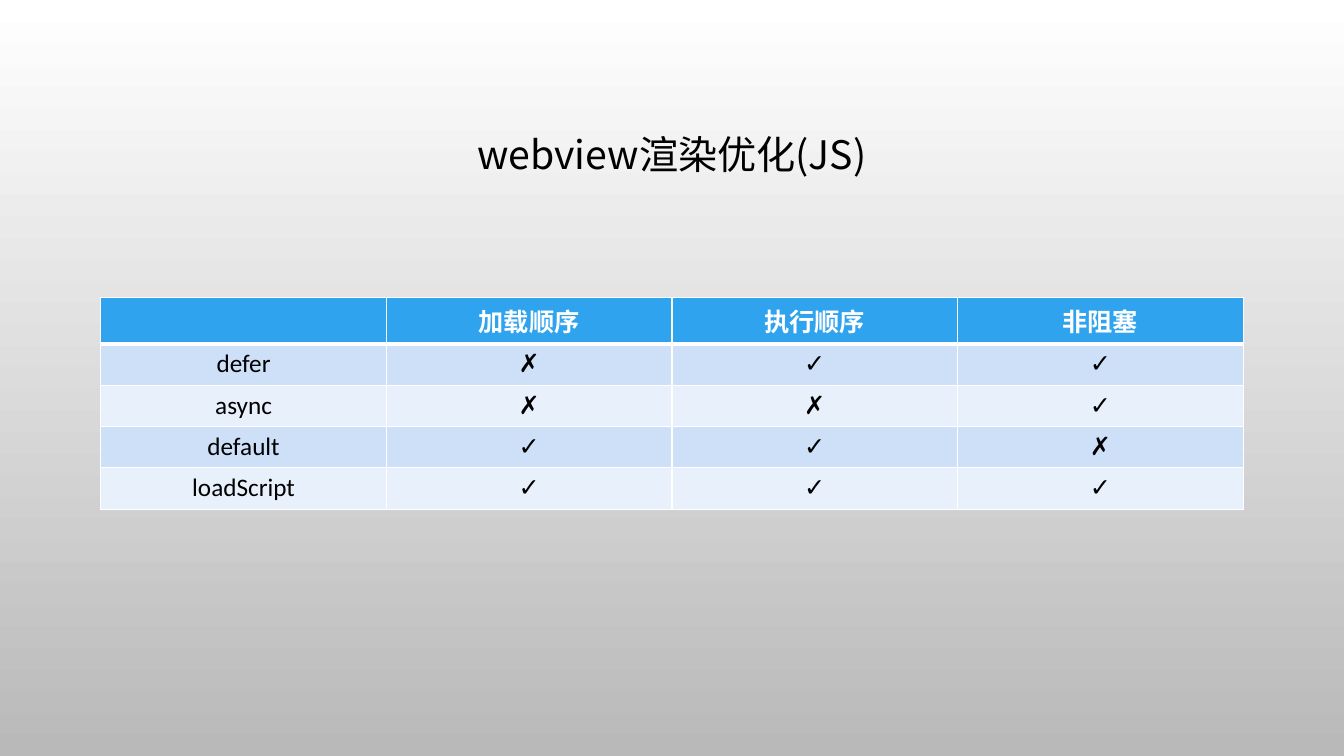
from pptx import Presentation
from pptx.dml.color import RGBColor
from pptx.enum.text import MSO_ANCHOR, PP_ALIGN
from pptx.oxml.ns import qn
from pptx.util import Inches, Pt
from lxml.etree import SubElement

CJK_FONT = "Noto Sans CJK SC"
ROWS = [
    ["", "加载顺序", "执行顺序", "非阻塞"],
    ["defer", "✗", "✓", "✓"],
    ["async", "✗", "✗", "✓"],
    ["default", "✓", "✓", "✗"],
    ["loadScript", "✓", "✓", "✓"],
]


def color(value):
    """Turn a hex string into a colour."""
    return RGBColor.from_string(value)


class SlideBuilder:
    """Hold the table style and the slide, and add elements to it."""

    header_fill = "2FA3EE"
    band_fills = ["CDE0F8", "E8F0FC"]
    white = "FFFFFF"
    black = "000000"

    def __init__(self, slide):
        """Keep the slide to draw on."""
        self.slide = slide

    def background(self, top, bottom):
        """Fill the background with a gradient running downwards."""
        fill = self.slide.background.fill
        fill.gradient()
        fill.gradient_angle = 270
        for stop, position, value in zip(fill.gradient_stops, (0, 1), (top, bottom)):
            stop.position = position
            stop.color.rgb = color(value)

    def format_text(self, paragraph, font_name, size, value, bold=False):
        """Centre a paragraph and format its runs."""
        paragraph.alignment = PP_ALIGN.CENTER
        for run in paragraph.runs:
            run.font.name = font_name
            run.font.size = Pt(size)
            run.font.bold = bold
            run.font.color.rgb = color(value)
            east_asian = SubElement(run.font._element, qn("a:ea"))
            east_asian.set("typeface", CJK_FONT)

    def title(self, text, left, top, width, height):
        """Place and format the title placeholder."""
        shape = self.slide.shapes.title
        shape.left, shape.top = Inches(left), Inches(top)
        shape.width, shape.height = Inches(width), Inches(height)
        text_frame = shape.text_frame
        text_frame.text = text
        text_frame.word_wrap = True
        text_frame.vertical_anchor = MSO_ANCHOR.MIDDLE
        paragraph = text_frame.paragraphs[0]
        paragraph.line_spacing = 0.9
        self.format_text(paragraph, CJK_FONT, 28, self.black)

    def borders(self, cell, top=1, bottom=1):
        """Draw white lines on the four sides of a cell."""
        properties = cell._tc.get_or_add_tcPr()
        for side, width in (("L", 1), ("R", 1), ("T", top), ("B", bottom)):
            line = SubElement(properties, qn(f"a:ln{side}"), w=str(Pt(width)))
            fill = SubElement(line, qn("a:solidFill"))
            SubElement(fill, qn("a:srgbClr"), val=self.white)

    def table(self, rows, left, top, width, row_height):
        """Add a table with a header row and banded body rows."""
        frame = self.slide.shapes.add_table(
            len(rows), len(rows[0]), Inches(left), Inches(top),
            Inches(width), Inches(row_height * len(rows)))
        table = frame.table
        table.first_row = table.horz_banding = False
        for row_index, texts in enumerate(rows):
            table.rows[row_index].height = Inches(row_height)
            header = row_index == 0
            fill = self.header_fill if header else self.band_fills[(row_index - 1) % 2]
            for column_index, text in enumerate(texts):
                cell = table.cell(row_index, column_index)
                self.borders(cell, top=3 if row_index == 1 else 1, bottom=3 if header else 1)
                cell.fill.solid()
                cell.fill.fore_color.rgb = color(fill)
                cell.text_frame.text = text
                self.format_text(cell.text_frame.paragraphs[0], "Calibri", 18,
                                 self.white if header else self.black, header)


def main():
    """Build the slide and save it."""
    presentation = Presentation()
    presentation.slide_width = Inches(13.33)
    presentation.slide_height = Inches(7.5)
    builder = SlideBuilder(presentation.slides.add_slide(presentation.slide_layouts[5]))
    builder.background("FFFFFF", "B9B9B9")
    builder.title("webview渲染优化(JS)", 1, 0.68, 11.33, 1.75)
    builder.table(ROWS, 1, 2.95, 11.33, 0.41)
    presentation.save("out.pptx")


if __name__ == "__main__":
    main()
